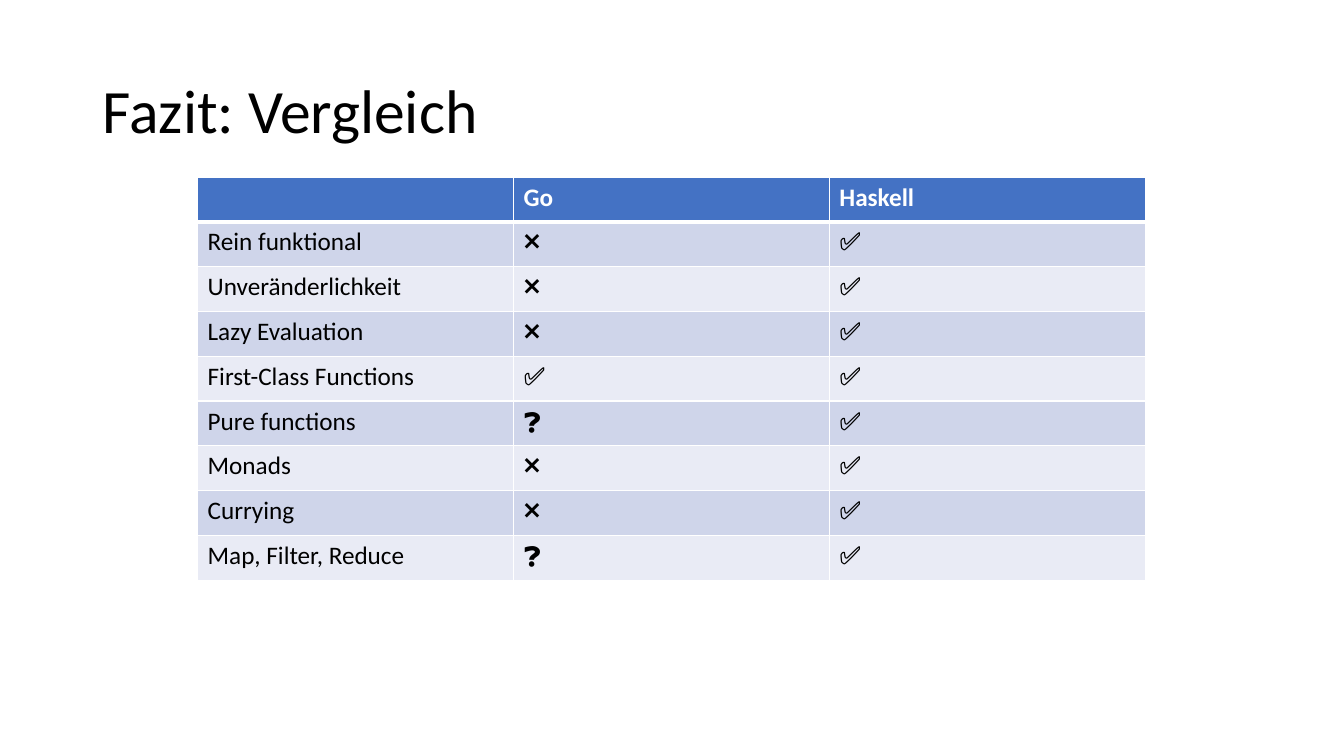
from lxml import etree
from pptx import Presentation
from pptx.dml.color import RGBColor
from pptx.enum.text import MSO_ANCHOR, PP_ALIGN
from pptx.oxml.ns import qn
from pptx.util import Cm, Pt

LEFT = PP_ALIGN.LEFT
MIDDLE = MSO_ANCHOR.MIDDLE
TITLE_ONLY = 5
FONT = "Calibri"
BLACK, WHITE = "000000", "FFFFFF"
HEADER_FILL = "4472C4"
BAND_FILLS = ("CFD5EA", "E9EBF5")
YES, NO, PARTLY = "✅", "❌", "❓"
HEADER = ("", "Go", "Haskell")
FEATURES = (
    ("Rein funktional", NO, YES),
    ("Unveränderlichkeit", NO, YES),
    ("Lazy Evaluation", NO, YES),
    ("First-Class Functions", YES, YES),
    ("Pure functions", PARTLY, YES),
    ("Monads", NO, YES),
    ("Currying", NO, YES),
    ("Map, Filter, Reduce", PARTLY, YES),
)
COLUMN_WIDTH, ROW_HEIGHT = Cm(7.96), Cm(1.13)


def color(value):
    """Turn a hex string into a colour."""
    return RGBColor.from_string(value)


def add_span(para, text, size, ink, bold=False):
    """Add one formatted run to a paragraph."""
    span = para.add_run()
    span.text = text
    span.font.name = FONT
    span.font.size = Pt(size)
    span.font.bold = bold
    span.font.color.rgb = color(ink)


def add_title(page, text):
    """Place and fill the title placeholder."""
    box = page.shapes.title
    box.left, box.top, box.width, box.height = Cm(2.33), Cm(1.01), Cm(29.21), Cm(3.68)
    box.text_frame.vertical_anchor = MIDDLE
    para = box.text_frame.paragraphs[0]
    para.alignment = LEFT
    para.line_spacing = 0.9
    add_span(para, text, 44, BLACK)


def set_border(cell, side, points):
    """Draw a solid white border on one side of a cell."""
    properties = cell._tc.get_or_add_tcPr()
    line = etree.SubElement(properties, qn(f"a:ln{side}"), w=str(Pt(points)))
    fill = etree.SubElement(line, qn("a:solidFill"))
    etree.SubElement(fill, qn("a:srgbClr"), val=WHITE)


def format_cell(cell, text, fill, is_header, below_header):
    """Set the borders, fill and text of a cell."""
    widths = {"L": 1, "R": 1, "T": 3 if below_header else 1, "B": 3 if is_header else 1}
    for side, points in widths.items():
        set_border(cell, side, points)
    cell.fill.solid()
    cell.fill.fore_color.rgb = color(fill)
    if text:
        ink = WHITE if is_header else BLACK
        add_span(cell.text_frame.paragraphs[0], text, 18, ink, is_header)


def add_comparison(page):
    """Add the banded table that compares the two languages."""
    rows = (HEADER, *FEATURES)
    table = page.shapes.add_table(
        len(rows), len(HEADER), Cm(4.98), Cm(4.46),
        COLUMN_WIDTH * len(HEADER), ROW_HEIGHT * len(rows),
    ).table
    for column in table.columns:
        column.width = COLUMN_WIDTH
    for index, texts in enumerate(rows):
        table.rows[index].height = ROW_HEIGHT
        fill = BAND_FILLS[(index - 1) % 2] if index else HEADER_FILL
        for cell, text in zip(table.rows[index].cells, texts):
            format_cell(cell, text, fill, index == 0, index == 1)


def main():
    """Build and save the deck."""
    deck = Presentation()
    deck.slide_width, deck.slide_height = Cm(33.87), Cm(19.05)
    page = deck.slides.add_slide(deck.slide_layouts[TITLE_ONLY])
    add_title(page, "Fazit: Vergleich")
    add_comparison(page)
    deck.save("out.pptx")


if __name__ == "__main__":
    main()
